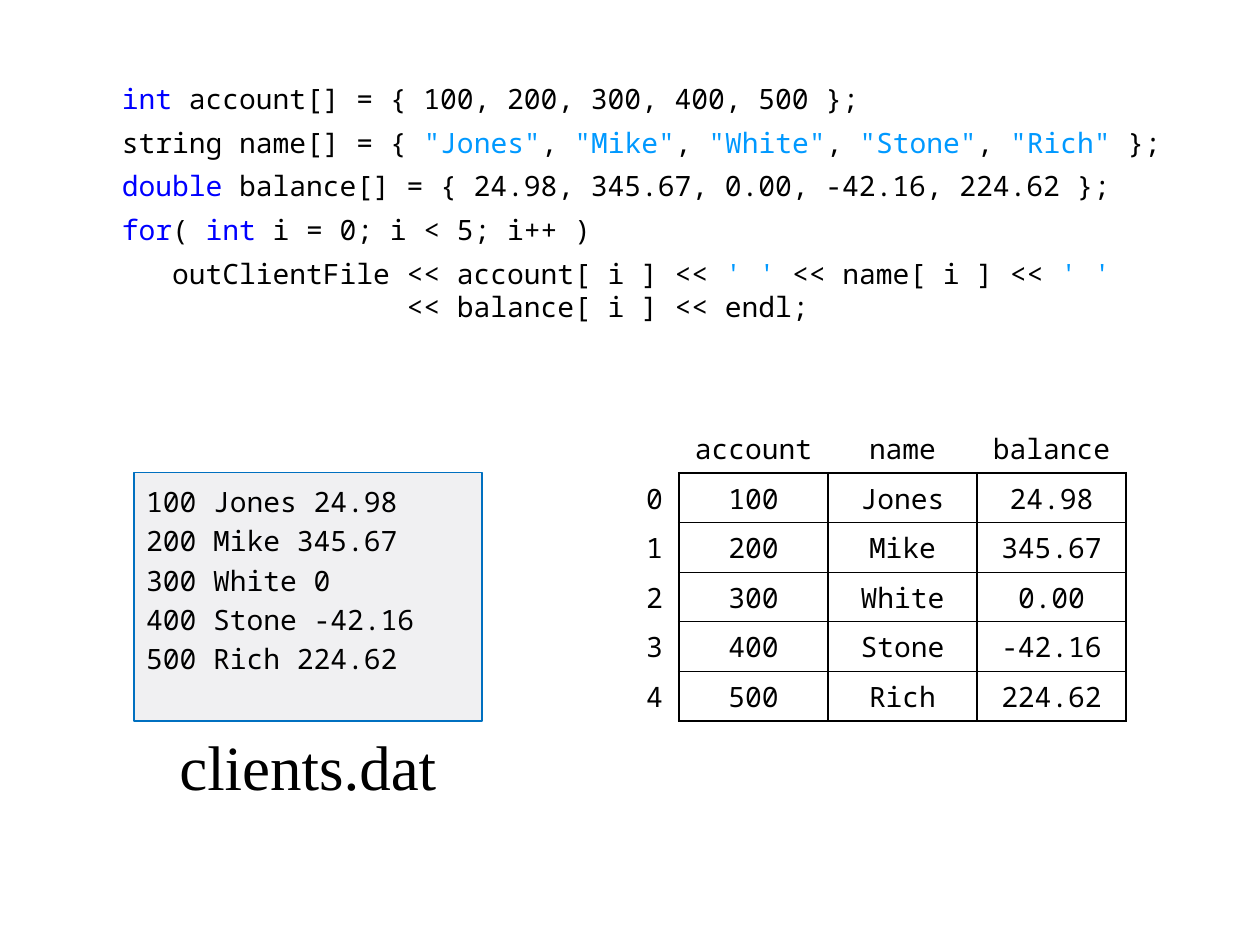
import pptx
import pptx.util
import pptx.dml.color
import pptx.enum.shapes
import pptx.enum.text
from lxml import etree

Pt = pptx.util.Pt
RGB = pptx.dml.color.RGBColor
ALIGN = pptx.enum.text.PP_ALIGN
ANCHOR = pptx.enum.text.MSO_ANCHOR

BLACK = RGB(0, 0, 0)
BLUE = RGB(0, 0, 255)
CYAN = RGB(0, 0x99, 0xFF)
GRAY = RGB(0xF0, 0xF0, 0xF2)
EDGE = RGB(0, 0x70, 0xC0)
MONO = "Noto Sans Mono"
SERIF = "Times New Roman"
NS = "http://schemas.openxmlformats.org/drawingml/2006/main"

KEYS = {"int", "double", "for"}
CODE = [
    ["int", " account[] = { 100, 200, 300, 400, 500 };"],
    ["string name[] = { ", '"Jones"', ", ", '"Mike"', ", ", '"White"', ", ",
     '"Stone"', ", ", '"Rich"', " };"],
    ["double", " balance[] = { 24.98, 345.67, 0.00, -42.16, 224.62 };"],
    ["for", "( ", "int", " i = 0; i < 5; i++ )"],
    ["   outClientFile << account[ i ] << ", "' '", " << name[ i ] << ", "' '"],
    ["                 << balance[ i ] << endl;"],
]
LINES = ["100 Jones 24.98", "200 Mike 345.67", "300 White 0",
         "400 Stone -42.16", "500 Rich 224.62"]
HEAD = ["", "account", "name", "balance"]
ROWS = [
    ["0", "100", "Jones", "24.98"],
    ["1", "200", "Mike", "345.67"],
    ["2", "300", "White", "0.00"],
    ["3", "400", "Stone", "-42.16"],
    ["4", "500", "Rich", "224.62"],
]


def set_font(para, name=MONO, size=16):
    para.font.name = name
    para.font.size = Pt(size)
    para.font.color.rgb = BLACK


def pick(token):
    """Give the colour of a code token."""
    if token in KEYS:
        return BLUE
    return CYAN if token[0] in "\"'" else BLACK


def add_paras(frame, count):
    return [frame.paragraphs[0]] + [frame.add_paragraph() for _ in range(count - 1)]


def add_code(slide, left, top, width, height):
    box = slide.shapes.add_textbox(Pt(left), Pt(top), Pt(width), Pt(height))
    frame = box.text_frame
    frame.word_wrap = True
    frame.margin_right = 0
    for row, (para, line) in enumerate(zip(add_paras(frame, len(CODE)), CODE)):
        set_font(para)
        para.line_spacing = Pt(19)
        para.space_after = Pt(6 if row < 4 else 0)
        for token in line:
            run = para.add_run()
            run.text = token
            run.font.color.rgb = pick(token)


def add_file(slide, left, top, width, height):
    """Add the file's content in a panel, with its name below."""
    panel = slide.shapes.add_shape(pptx.enum.shapes.MSO_SHAPE.RECTANGLE,
                                   Pt(left), Pt(top), Pt(width), Pt(height))
    panel.shadow.inherit = False
    panel.fill.solid()
    panel.fill.fore_color.rgb = GRAY
    panel.line.color.rgb = EDGE
    panel.line.width = Pt(1)
    frame = panel.text_frame
    frame.word_wrap = True
    frame.vertical_anchor = ANCHOR.TOP
    frame.margin_top = frame.margin_bottom = Pt(7.2)
    for row, (para, line) in enumerate(zip(add_paras(frame, len(LINES)), LINES)):
        para.text = line
        para.alignment = ALIGN.LEFT
        para.line_spacing = Pt(19)
        para.space_before = Pt(3.4 if row else 0)
        set_font(para)

    inset = 14.4
    label = slide.shapes.add_textbox(Pt(left + inset), Pt(top + height),
                                     Pt(width - 2 * inset), Pt(57))
    label.text_frame.word_wrap = False
    para = label.text_frame.paragraphs[0]
    para.text = "clients.dat"
    para.alignment = ALIGN.CENTER
    set_font(para, SERIF, 36)


def set_edge(cell, side, width):
    """Draw one border of a cell, or clear it when the width is 0."""
    line = etree.SubElement(cell.get_or_add_tcPr() if hasattr(cell, "get_or_add_tcPr")
                            else cell._tc.get_or_add_tcPr(), f"{{{NS}}}ln{side}")
    line.set("w", str(int(Pt(width))))
    if width:
        fill = etree.SubElement(line, f"{{{NS}}}solidFill")
        etree.SubElement(fill, f"{{{NS}}}srgbClr").set("val", str(BLACK))
    else:
        etree.SubElement(line, f"{{{NS}}}noFill")


def get_edges(row, col):
    """Give border widths: a thick frame round the data, thin lines within."""
    last = len(ROWS)
    wide = len(HEAD) - 1
    data = row > 0 and col > 0
    thin = 0.75 if data else 0
    return {
        "L": 1.5 if data and col == 1 else thin,
        "R": 1.5 if row and col in (0, wide) else thin,
        "T": 1.5 if data and row == 1 else thin,
        "B": 1.5 if col and row in (0, last) else thin,
    }


def add_grid(slide, left, top, width, height):
    data = [HEAD] + ROWS
    first = 28
    table = slide.shapes.add_table(len(data), len(HEAD), Pt(left), Pt(top),
                                   Pt(width), Pt(height)).table
    table.first_row = table.horz_banding = False
    for col, part in enumerate(table.columns):
        part.width = Pt((width - first) / (len(HEAD) - 1) if col else first)
    for row, line in enumerate(data):
        table.rows[row].height = Pt(height / len(data))
        for col, text in enumerate(line):
            cell = table.cell(row, col)
            cell.vertical_anchor = ANCHOR.MIDDLE
            for side, size in get_edges(row, col).items():
                set_edge(cell, side, size)
            cell.fill.background()
            para = cell.text_frame.paragraphs[0]
            para.text = text
            para.alignment = ALIGN.CENTER
            set_font(para)


def main():
    deck = pptx.Presentation()
    deck.slide_width, deck.slide_height = Pt(720), Pt(540)
    slide = deck.slides.add_slide(deck.slide_layouts[6])
    add_code(slide, 62.6, 43.2, 609, 156)
    add_file(slide, 76.5, 270, 199, 142)
    add_grid(slide, 360, 242, 283.5, 170)
    deck.save("out.pptx")


if __name__ == "__main__":
    main()
